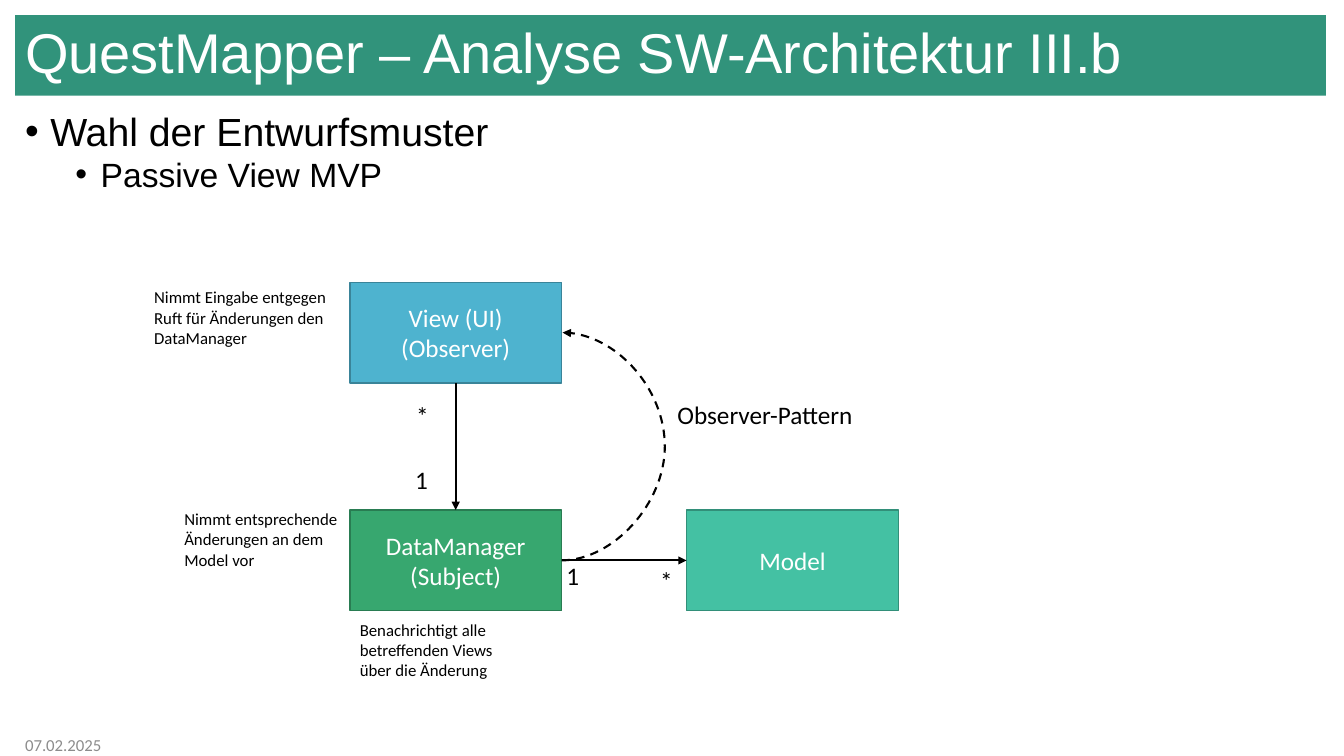
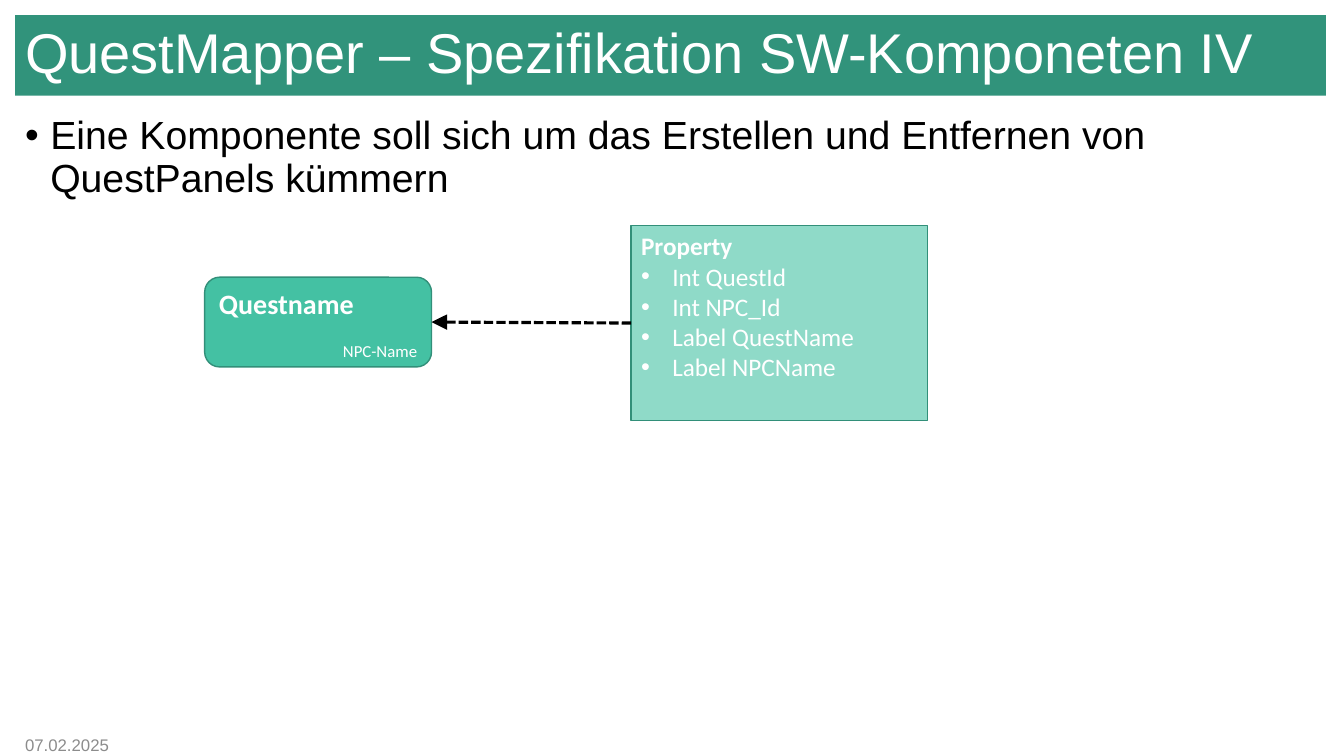
"""Build two slides on the QuestMapper architecture and its components."""
import pptx
import pptx.dml.color
import pptx.enum.dml
import pptx.enum.shapes
import pptx.enum.text
import pptx.oxml
import pptx.oxml.ns
import pptx.util

EMU_PER_PX = 9144
SLIDE_SIZE = (1333, 750)
TITLE_BAND = (15, 15, 1300, 80)
FOOTER_BOX = (15, 727, 300, 23)

ALIGN = pptx.enum.text.PP_ALIGN
ANCHOR = pptx.enum.text.MSO_ANCHOR
PRESET = pptx.enum.shapes.MSO_SHAPE
CONNECTOR = pptx.enum.shapes.MSO_CONNECTOR
DASH = pptx.enum.dml.MSO_LINE
TOP, LEFT, BOTTOM, RIGHT = range(4)


def text_style(size, color="text", name="Calibri", bold=False, bullet=None, **paragraph):
    return {"font": {"size": pptx.util.Pt(size), "name": name, "bold": bold},
            "color": color, "bullet": bullet, "paragraph": paragraph}


THEME = {
    "colors": {
        "band": "31937B", "text": "000000", "white": "FFFFFF", "muted": "8C8C8C",
        "blue": "4EB3CF", "blue_edge": "3A8499",
        "green": "37A76F", "green_edge": "297C52",
        "mint": "44C1A3", "mint_edge": "328F79", "pale_mint": "8FDAC8",
    },
    "styles": {
        "title": text_style(40, "white", "Arial", line_spacing=0.9),
        "footer": text_style(12, "muted"),
        "footer_arial": text_style(12, "muted", "Arial"),
        "point": text_style(28, name="Arial", bullet=(25, 25),
                            line_spacing=0.9, space_before=pptx.util.Pt(10)),
        "tight_point": text_style(28, name="Arial", bullet=(25, 25),
                                  line_spacing=0.8, space_before=pptx.util.Pt(10)),
        "subpoint": text_style(24, name="Arial", bullet=(75, 25), level=1,
                               line_spacing=0.8, space_before=pptx.util.Pt(5)),
        "node": text_style(18, "white", alignment=ALIGN.CENTER),
        "label": text_style(18),
        "note": text_style(12),
        "quest": text_style(20, "white", bold=True),
        "npc": text_style(12, "white", alignment=ALIGN.RIGHT,
                          space_before=pptx.util.Pt(14.6)),
        "heading": text_style(18, "white", bold=True),
        "property": text_style(18, "white", bullet=(31, 31)),
    },
}

SLIDES = [
    {
        "title": "QuestMapper – Analyse SW-Architektur III.b",
        "footer": "footer",
        "nodes": {
            "view": (PRESET.RECTANGLE, (347, 280, 210, 100), "blue", "blue_edge", ANCHOR.MIDDLE,
                     [("View (UI)", "node"), ("(Observer)", "node")]),
            "manager": (PRESET.RECTANGLE, (347, 506, 210, 100), "green", "green_edge", ANCHOR.MIDDLE,
                        [("DataManager", "node"), ("(Subject)", "node")]),
            "model": (PRESET.RECTANGLE, (681, 506, 210, 100), "mint", "mint_edge", ANCHOR.MIDDLE,
                      [("Model", "node")]),
        },
        "links": [
            ("view", BOTTOM, "manager", TOP, 1.5, "med", None, None),
            ("manager", RIGHT, "model", LEFT, 1.5, "med", None, None),
            ("manager", RIGHT, "view", RIGHT, 1.5, "med", DASH.DASH, 104),
        ],
        "texts": [
            ((15, 111, 1291, 92), [("Wahl der Entwurfsmuster", "tight_point"),
                                   ("Passive View MVP", "subpoint")]),
            ((403, 392, 40, 40), [("*", "label")]),
            ((402, 456, 40, 40), [("1", "label")]),
            ((552, 551, 40, 40), [("1", "label")]),
            ((645, 556, 40, 40), [("*", "label")]),
            ((662, 391, 206, 40), [("Observer-Pattern", "label")]),
            ((143, 280, 198, 71), [("Nimmt Eingabe entgegen", "note"),
                                   ("Ruft für Änderungen den DataManager", "note")]),
            ((173, 500, 174, 71), [("Nimmt entsprechende Änderungen an dem Model vor", "note")]),
            ((347, 610, 174, 71), [("Benachrichtigt alle betreffenden Views über die Änderung", "note")]),
        ],
    },
    {
        "title": "QuestMapper – Spezifikation SW-Komponeten IV",
        "footer": "footer_arial",
        "nodes": {
            "panel": (PRESET.ROUNDED_RECTANGLE, (203, 275, 225, 89), "mint", "mint_edge", ANCHOR.TOP,
                      [("Questname", "quest"), ("NPC-Name", "npc")]),
            "properties": (PRESET.RECTANGLE, (626, 224, 294, 193), "pale_mint", "mint_edge", ANCHOR.TOP,
                           [("Property", "heading"), ("Int QuestId", "property"),
                            ("Int NPC_Id", "property"), ("Label QuestName", "property"),
                            ("Label NPCName", "property")]),
        },
        "links": [("properties", LEFT, "panel", RIGHT, 2.25, "lg", DASH.SQUARE_DOT, None)],
        "texts": [
            ((15, 110, 1291, 99),
             [("Eine Komponente soll sich um das Erstellen und Entfernen von QuestPanels kümmern", "point")]),
        ],
    },
]
DATE = "07.02.2025"


def px(value):
    return pptx.util.Emu(value * EMU_PER_PX)


def color(name):
    return pptx.dml.color.RGBColor.from_string(THEME["colors"][name])


def set_attributes(target, values):
    for name, value in values.items():
        setattr(target, name, value)


def append_element(parent, tag, **attributes):
    element = pptx.oxml.parse_xml(f"<{tag} {pptx.oxml.ns.nsdecls('a')}/>")
    for name, value in attributes.items():
        element.set(name, value)
    parent.append(element)


def write_text(shape, paragraphs, anchor=ANCHOR.TOP):
    frame = shape.text_frame
    set_attributes(frame, {"word_wrap": True, "vertical_anchor": anchor})
    for index, (text, style_name) in enumerate(paragraphs):
        style = THEME["styles"][style_name]
        paragraph = frame.add_paragraph() if index else frame.paragraphs[0]
        set_attributes(paragraph, {"alignment": ALIGN.LEFT, **style["paragraph"]})
        run = paragraph.add_run()
        run.text = text
        set_attributes(run.font, style["font"])
        run.font.color.rgb = color(style["color"])
        if style["bullet"]:
            margin, hanging = style["bullet"]
            properties = paragraph._p.get_or_add_pPr()
            properties.set("marL", str(px(margin)))
            properties.set("indent", str(px(-hanging)))
            append_element(properties, "a:buFont", typeface="Arial")
            append_element(properties, "a:buChar", char="•")


def add_text(slide, box, paragraphs, anchor=ANCHOR.TOP):
    write_text(slide.shapes.add_textbox(*map(px, box)), paragraphs, anchor)


def add_node(slide, preset, box, fill, edge, anchor, paragraphs):
    shape = slide.shapes.add_shape(preset, *map(px, box))
    shape.shadow.inherit = False
    shape.fill.solid()
    shape.fill.fore_color.rgb = color(fill)
    if edge:
        shape.line.color.rgb = color(edge)
        shape.line.width = pptx.util.Pt(1)
    else:
        shape.line.fill.background()
    write_text(shape, paragraphs, anchor)
    return shape


def add_link(slide, start, start_side, end, end_side, width, head_size, dash, bulge):
    kind = CONNECTOR.CURVE if bulge else CONNECTOR.STRAIGHT
    connector = slide.shapes.add_connector(
        kind, start.left, start.top, end.left + end.width, end.top)
    connector.begin_connect(start, start_side)
    connector.end_connect(end, end_side)
    connector.line.color.rgb = color("text")
    connector.line.width = pptx.util.Pt(width)
    if dash:
        connector.line.dash_style = dash
    properties = connector.element.spPr
    append_element(properties.find(pptx.oxml.ns.qn("a:ln")), "a:tailEnd",
                   type="triangle", w=head_size, len=head_size)
    append_element(properties, "a:effectLst")
    if bulge:
        connector.width = px(1)
        adjustments = properties.find(".//" + pptx.oxml.ns.qn("a:avLst"))
        append_element(adjustments, "a:gd", name="adj1", fmla=f"val {bulge * 100000}")


def build_slide(presentation, content):
    slide = presentation.slides.add_slide(presentation.slide_layouts[6])
    add_node(slide, PRESET.RECTANGLE, TITLE_BAND, "band", None, ANCHOR.MIDDLE,
             [(content["title"], "title")])
    add_text(slide, FOOTER_BOX, [(DATE, content["footer"])], ANCHOR.MIDDLE)
    nodes = {name: add_node(slide, *node) for name, node in content["nodes"].items()}
    for start, start_side, end, end_side, *line in content["links"]:
        add_link(slide, nodes[start], start_side, nodes[end], end_side, *line)
    for box, paragraphs in content["texts"]:
        add_text(slide, box, paragraphs)


def main():
    presentation = pptx.Presentation()
    presentation.slide_width, presentation.slide_height = map(px, SLIDE_SIZE)
    for content in SLIDES:
        build_slide(presentation, content)
    presentation.save("out.pptx")


if __name__ == "__main__":
    main()
